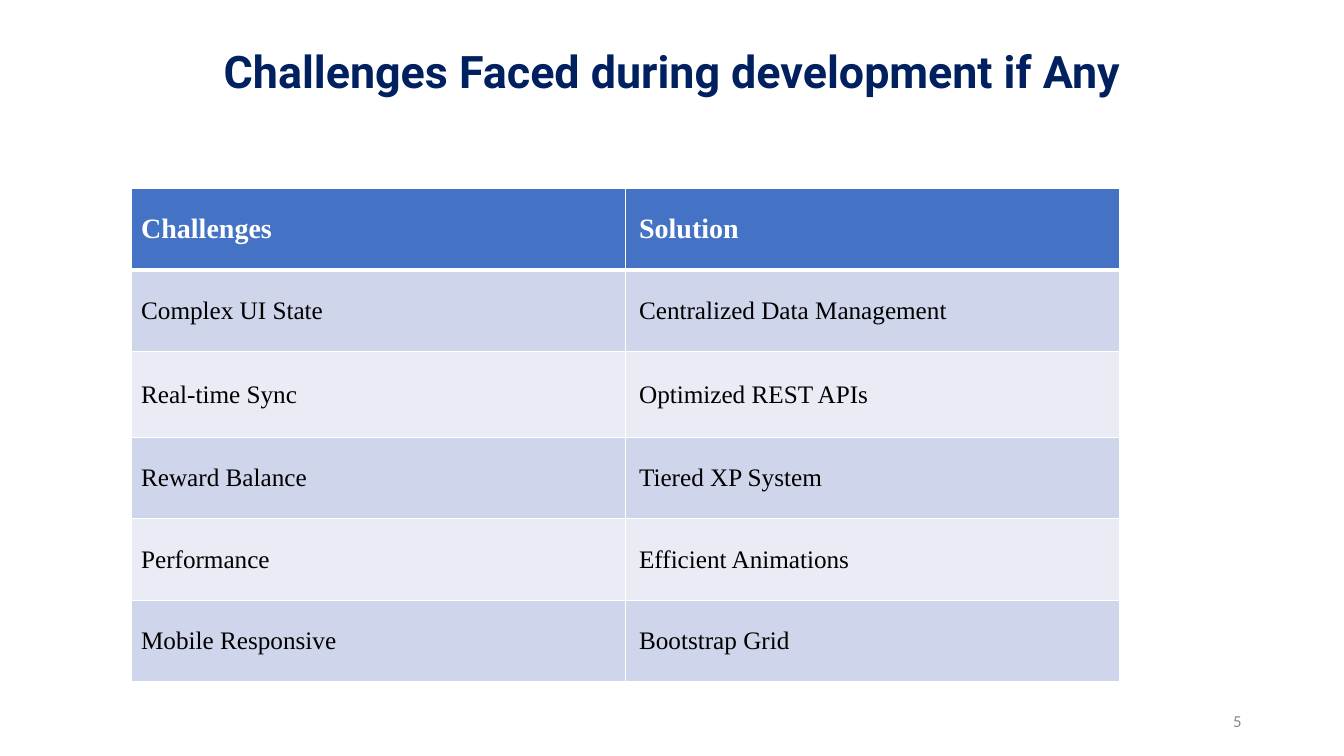
from lxml import etree
from pptx import Presentation
from pptx.dml.color import RGBColor
from pptx.enum.text import MSO_ANCHOR, PP_ALIGN
from pptx.oxml.ns import qn
from pptx.util import Pt

MIDDLE = MSO_ANCHOR.MIDDLE
CENTER, RIGHT = PP_ALIGN.CENTER, PP_ALIGN.RIGHT

COLORS = {
    "title": "002060",
    "number": "888888",
    "header": "4472C4",
    "band_dark": "CFD5EA",
    "band_light": "E9EBF5",
    "white": "FFFFFF",
    "black": "000000",
}

ROWS = [
    ("Challenges", "Solution"),
    ("Complex UI State", "Centralized Data Management"),
    ("Real-time Sync", "Optimized REST APIs"),
    ("Reward Balance", "Tiered XP System"),
    ("Performance", "Efficient Animations"),
    ("Mobile Responsive", "Bootstrap Grid"),
]
ROW_HEIGHTS = [58.2, 58.2, 61.2, 58.2, 58.2, 58.2]


def rgb(name):
    return RGBColor.from_string(COLORS[name])


def style_paragraph(p, font, size, color, bold=False):
    for r in p.runs:
        r.font.name = font
        r.font.size = Pt(size)
        r.font.bold = bold
        r.font.color.rgb = rgb(color)


def add_text(slide, box, text, align, margins, font, size, color, bold=False):
    sp = slide.shapes.add_textbox(*(Pt(v) for v in box))
    tf = sp.text_frame
    tf.word_wrap = True
    tf.vertical_anchor = MIDDLE
    tf.margin_left = tf.margin_right = Pt(margins[0])
    tf.margin_top = tf.margin_bottom = Pt(margins[1])
    tf.text = text
    p = tf.paragraphs[0]
    p.alignment = align
    style_paragraph(p, font, size, color, bold)
    return p


def add_borders(cell, widths):
    """Draw white cell borders; widths are left, right, top, bottom."""
    tcPr = cell._tc.get_or_add_tcPr()
    for i, (side, width) in enumerate(zip("LRTB", widths)):
        ln = etree.Element(qn("a:ln" + side), w=str(Pt(width)))
        fill = etree.SubElement(ln, qn("a:solidFill"))
        etree.SubElement(fill, qn("a:srgbClr"), val=COLORS["white"])
        tcPr.insert(i, ln)


def add_title(slide, box):
    p = add_text(slide, box, "Challenges Faced during development if Any",
                 CENTER, (0, 0), "Roboto", 32, "title", True)
    p.line_spacing = 0.9


def add_challenge_table(slide, box):
    table = slide.shapes.add_table(len(ROWS), 2, *(Pt(v) for v in box)).table
    for col in table.columns:
        col.width = Pt(box[2] / 2)
    for i, (texts, height) in enumerate(zip(ROWS, ROW_HEIGHTS)):
        table.rows[i].height = Pt(height)
        is_header = i == 0
        fill = "header" if is_header else ("band_light", "band_dark")[i % 2]
        for j, text in enumerate(texts):
            cell = table.cell(i, j)
            cell.text = text
            cell.vertical_anchor = MIDDLE
            cell.margin_left = Pt((6.9, 9.6)[j])
            cell.margin_right = Pt(7.2 if j and not is_header else 9.6)
            cell.margin_top = cell.margin_bottom = Pt(5.76)
            cell.fill.solid()
            cell.fill.fore_color.rgb = rgb(fill)
            add_borders(cell, (1, 1, 3 if i == 1 else 1, 3 if is_header else 1))
            style_paragraph(cell.text_frame.paragraphs[0], "Times New Roman",
                            20 if is_header else 18,
                            "white" if is_header else "black", is_header)


def add_slide_number(slide, box):
    add_text(slide, box, "5", RIGHT, (7.2, 3.6), "Calibri", 12, "number")


def main():
    prs = Presentation()
    prs.slide_width, prs.slide_height = Pt(960), Pt(540)
    slide = prs.slides.add_slide(prs.slide_layouts[6])

    # Title
    add_title(slide, (83.5, 35.3, 793.4, 34.6))
    # Challenges and solutions
    add_challenge_table(slide, (93.9, 134.8, 706, sum(ROW_HEIGHTS)))
    # Footer
    add_slide_number(slide, (678, 500.5, 216, 28.75))

    prs.save("out.pptx")


if __name__ == "__main__":
    main()
